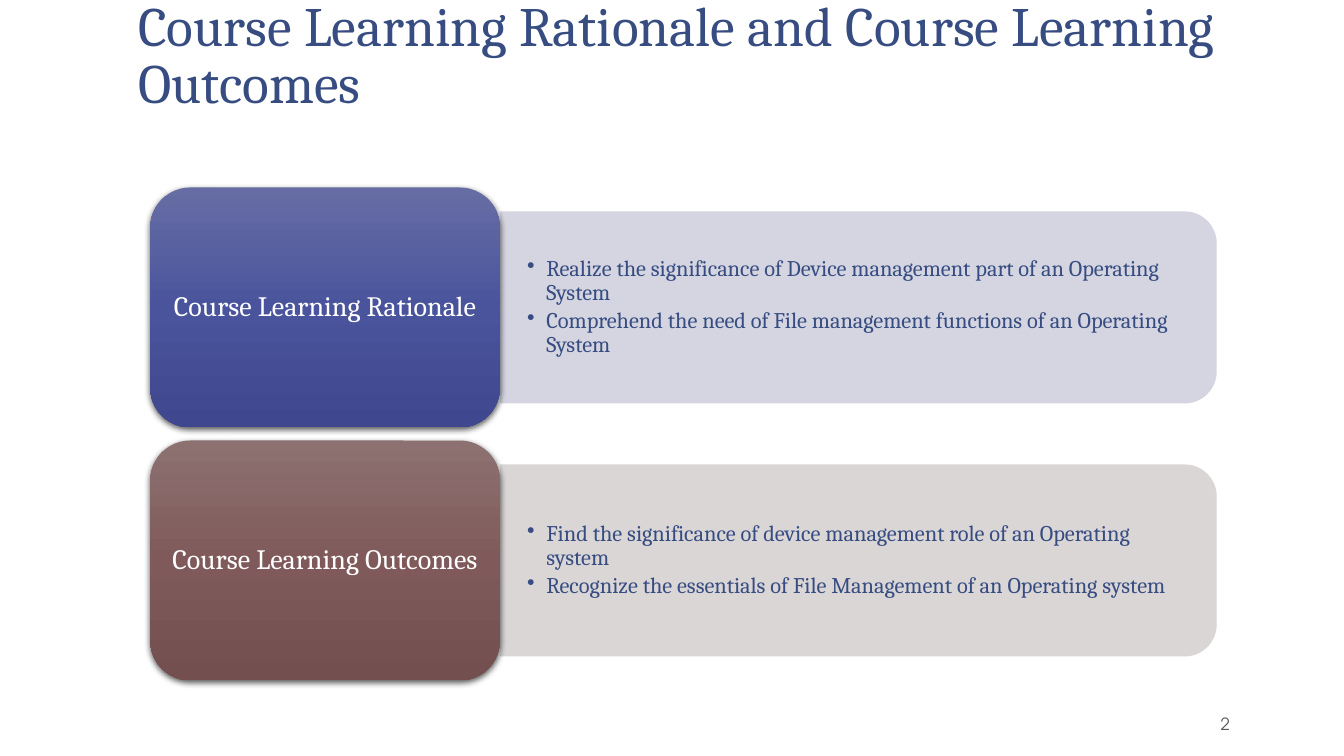
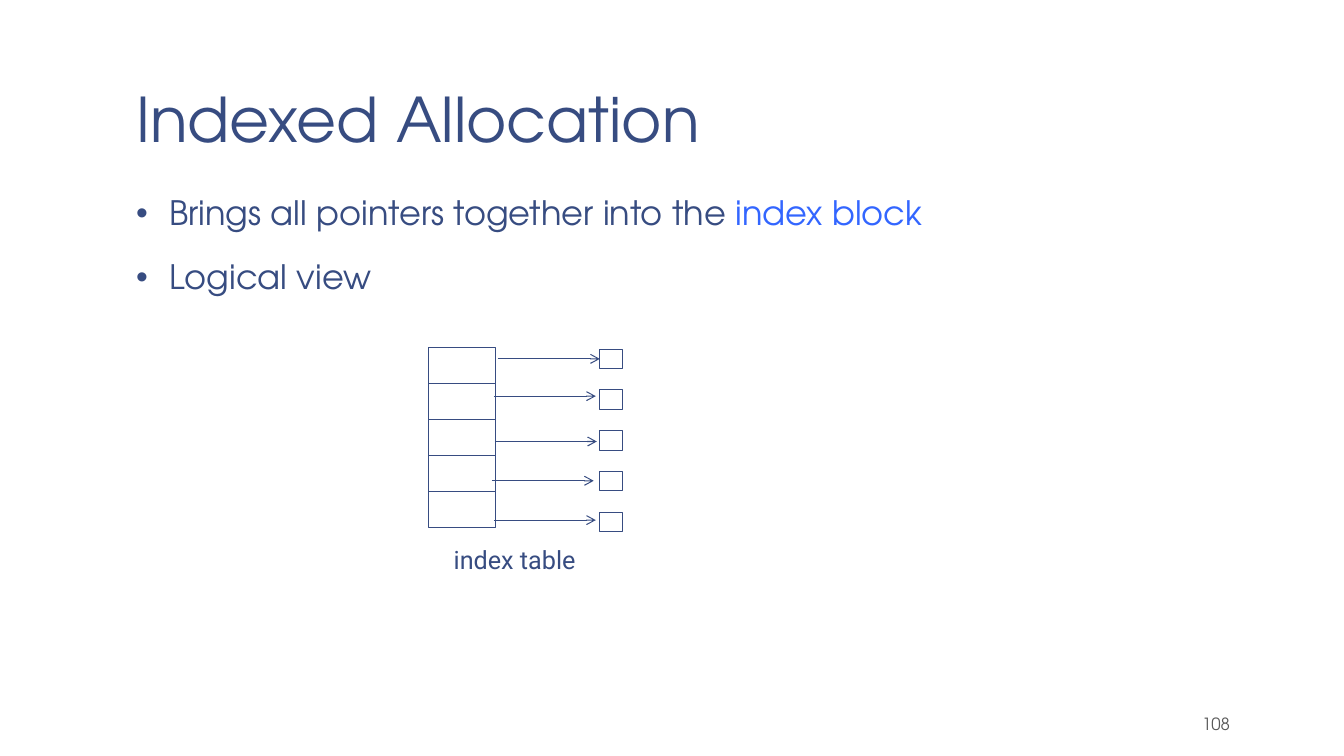
from copy import deepcopy
from dataclasses import dataclass

from lxml import etree
from pptx import Presentation
from pptx import util as u
from pptx.dml.color import RGBColor
from pptx.enum import shapes, text
from pptx.oxml.ns import qn

WIDTH, HEIGHT = u.Inches(13.333), u.Inches(7.5)


@dataclass(frozen=True)
class Theme:
    ink: str = "374C81"
    highlight: str = "3366FF"
    muted: str = "595959"
    paper: str = "FFFFFF"
    serif: str = "Cambria"
    sans: str = "TeX Gyre Adventor"
    label: str = "Roboto"
    long_title: float = 39.6
    title: float = 44
    body: float = 24
    card: float = 20
    caption: float = 18
    panel: float = 16
    number: float = 12


THEME = Theme()
PLACEHOLDER_INSETS = (0.13, 0.07)
NUMBER_FRAME = (83.4, 93.33, 9.1, 4.67)

CARD_COLUMN, CARD_ROW = 11.18, 24.8
CARD_WIDTH, CARD_HEIGHT, CARD_PITCH = 26.02, 31.73, 33.47
PANEL_WIDTH, PANEL_HEIGHT = 53.33, 25.4
CARDS = [
    ("Course Learning Rationale", ("666DA4", "4A549C", "3F488E"), "D0D1DD",
     ["Realize the significance of Device management part of an Operating System",
      "Comprehend the need of File management functions of an Operating System"]),
    ("Course Learning Outcomes", ("8D7171", "805A5A", "734F4F"), "D7D2D2",
     ["Find the significance of device management role of an Operating system",
      "Recognize the essentials of File Management of an Operating system"]),
]

INDEX_LENGTH = 5
CELL_WIDTH, CELL_HEIGHT = 4.99, 4.75
BLOCK_WIDTH, BLOCK_HEIGHT, BLOCK_PITCH = 1.68, 2.58, 5.4
ARROW_LENGTH = 7.58
ARROW_STARTS = [(37.05, 47.47), (36.75, 52.4), (36.83, 58.4),
                (36.6, 63.6), (36.75, 68.8)]


def across(share):
    return u.Emu(round(WIDTH * share / 100))


def down(share):
    return u.Emu(round(HEIGHT * share / 100))


def frame(left, top, width, height):
    """Turn hundredths of the slide into a left, top, width, height box."""
    return across(left), down(top), across(width), down(height)


def color(value):
    return RGBColor.from_string(value)


def add_child(parent, tag, **attributes):
    return etree.SubElement(parent, qn(tag), attributes)


def add_run(paragraph, words, size, font, ink=THEME.ink):
    run = paragraph.add_run()
    run.text = words
    run.font.size = u.Pt(size)
    run.font.name = font
    run.font.color.rgb = color(ink)


def set_text_frame(shape, insets, anchor, wrap=True):
    text_frame = shape.text_frame
    text_frame.auto_size = text.MSO_AUTO_SIZE.NONE
    text_frame.word_wrap = wrap
    text_frame.vertical_anchor = anchor
    text_frame.margin_left = text_frame.margin_right = u.Inches(insets[0])
    text_frame.margin_top = text_frame.margin_bottom = u.Inches(insets[1])
    return text_frame


def place(shape, box):
    shape.left, shape.top, shape.width, shape.height = frame(*box)


def add_list(text_frame, items, size, font, indent, **spacing):
    """Write bulleted items, each a list of (words, ink) runs."""
    for index, runs in enumerate(items):
        paragraph = text_frame.paragraphs[0] if index == 0 else text_frame.add_paragraph()
        for name, value in spacing.items():
            setattr(paragraph, name, value)
        properties = paragraph._p.get_or_add_pPr()
        properties.set("marL", str(u.Inches(indent)))
        properties.set("indent", str(-u.Inches(indent)))
        add_child(properties, "a:buChar", char="•")
        for words, ink in runs:
            add_run(paragraph, words, size, font, ink)


def add_label(slide, box, words, size, font, ink, align, anchor, wrap=True):
    shape = slide.shapes.add_textbox(*frame(*box))
    text_frame = set_text_frame(shape, PLACEHOLDER_INSETS, anchor, wrap)
    paragraph = text_frame.paragraphs[0]
    paragraph.alignment = align
    add_run(paragraph, words, size, font, ink)


def add_slide(presentation, layout, title, box, size, font, number):
    slide = presentation.slides.add_slide(presentation.slide_layouts[layout])
    place(slide.shapes.title, box)
    text_frame = set_text_frame(slide.shapes.title, PLACEHOLDER_INSETS,
                                text.MSO_ANCHOR.BOTTOM)
    paragraph = text_frame.paragraphs[0]
    paragraph.alignment = text.PP_ALIGN.LEFT
    paragraph.line_spacing = 0.85
    add_run(paragraph, title, size, font)
    add_label(slide, NUMBER_FRAME, number, THEME.number, THEME.sans, THEME.muted,
              text.PP_ALIGN.RIGHT, text.MSO_ANCHOR.BOTTOM)
    return slide


def fill_gradient(shape, colors):
    """Fill from top to bottom through evenly spaced colours."""
    shape.fill.gradient()
    shape.fill.gradient_angle = 270
    stops = shape._element.spPr.find(".//" + qn("a:gsLst"))
    while len(stops) < len(colors):
        stops.insert(1, deepcopy(stops[0]))
    for index, stop in enumerate(shape.fill.gradient_stops):
        stop.color.rgb = color(colors[index])
        stop.position = index / (len(colors) - 1)


def add_soft_shadow(shape):
    shape.shadow.inherit = False
    effects = shape._element.spPr.find(qn("a:effectLst"))
    shadow = add_child(effects, "a:outerShdw", blurRad=str(u.Pt(4.5)),
                       dist=str(u.Pt(1.5)), dir="5400000", rotWithShape="0")
    ink = add_child(shadow, "a:srgbClr", val="000000")
    add_child(ink, "a:alpha", val="63000")


def add_panel(slide, left, middle, tint, items):
    """Draw a bar rounded on its right side, with a bulleted list on it."""
    box = frame(left, middle - PANEL_HEIGHT / 2, PANEL_WIDTH, PANEL_HEIGHT)
    x, y, length, thickness = box
    shift = (length - thickness) // 2
    panel = slide.shapes.add_shape(shapes.MSO_SHAPE.ROUND_2_SAME_RECTANGLE,
                                   x + shift, y - shift, thickness, length)
    panel.rotation = 90
    panel.shadow.inherit = False
    panel.fill.solid()
    panel.fill.fore_color.rgb = color(tint)
    panel.line.fill.background()
    add_child(panel._element.spPr.find(".//" + qn("a:srgbClr")), "a:alpha", val="90000")
    text_frame = set_text_frame(slide.shapes.add_textbox(*box), (0.27, 0.14),
                                text.MSO_ANCHOR.MIDDLE)
    add_list(text_frame, [[(item, THEME.ink)] for item in items], THEME.panel,
             THEME.serif, 0.19, line_spacing=0.9, space_after=u.Pt(2.5))


def add_card(slide, top, heading, colors):
    card = slide.shapes.add_shape(shapes.MSO_SHAPE.ROUNDED_RECTANGLE,
                                  *frame(CARD_COLUMN, top, CARD_WIDTH, CARD_HEIGHT))
    fill_gradient(card, colors)
    card.line.fill.background()
    add_soft_shadow(card)
    text_frame = set_text_frame(card, (0.08, 0.04), text.MSO_ANCHOR.MIDDLE)
    paragraph = text_frame.paragraphs[0]
    paragraph.alignment = text.PP_ALIGN.CENTER
    paragraph.line_spacing = 0.9
    add_run(paragraph, heading, THEME.card, THEME.serif, THEME.paper)


def add_column(slide, left, top, width, height, pitch):
    """Stack outlined boxes, one for each entry of the index."""
    for row in range(INDEX_LENGTH):
        box = slide.shapes.add_shape(shapes.MSO_SHAPE.RECTANGLE,
                                     *frame(left, top + row * pitch, width, height))
        box.shadow.inherit = False
        box.fill.solid()
        box.fill.fore_color.rgb = color(THEME.paper)
        box.line.color.rgb = color(THEME.ink)
        box.line.width = u.Pt(0.75)


def add_arrow(slide, left, top):
    arrow = slide.shapes.add_connector(shapes.MSO_CONNECTOR.STRAIGHT, across(left),
                                       down(top), across(left + ARROW_LENGTH), down(top))
    arrow.line.color.rgb = color(THEME.ink)
    arrow.line.width = u.Pt(0.75)
    add_child(arrow.line._get_or_add_ln(), "a:tailEnd", type="arrow")
    add_child(arrow._element.spPr, "a:effectLst")


def build_outcomes(presentation):
    slide = add_slide(presentation, 5,
                      "Course Learning Rationale and Course Learning Outcomes",
                      (9.3, 0, 83.33, 16.13), THEME.long_title, THEME.serif, "2")
    for index, (heading, colors, tint, items) in enumerate(CARDS):
        top = CARD_ROW + index * CARD_PITCH
        add_panel(slide, CARD_COLUMN + CARD_WIDTH, top + CARD_HEIGHT / 2, tint, items)
        add_card(slide, top, heading, colors)


def build_indexed_allocation(presentation):
    slide = add_slide(presentation, 1, "Indexed Allocation",
                      (9.15, 1.07, 83.33, 20.4), THEME.title, THEME.sans, "108")
    body = slide.placeholders[1]
    place(body, (9.15, 24.8, 83.33, 65.2))
    text_frame = set_text_frame(body, PLACEHOLDER_INSETS, text.MSO_ANCHOR.TOP)
    items = [[("Brings all pointers together into the ", THEME.ink),
              ("index block", THEME.highlight)],
             [("Logical view", THEME.ink)]]
    add_list(text_frame, items, THEME.body, THEME.sans, 0.33,
             line_spacing=0.95, space_before=u.Pt(18.7))
    add_column(slide, 31.87, 46, CELL_WIDTH, CELL_HEIGHT, CELL_HEIGHT)
    add_column(slide, 44.63, 46.17, BLOCK_WIDTH, BLOCK_HEIGHT, BLOCK_PITCH)
    for left, top in ARROW_STARTS:
        add_arrow(slide, left, top)
    add_label(slide, (33, 71.33, 10.58, 5.33), "index table", THEME.caption, THEME.label,
              THEME.ink, text.PP_ALIGN.CENTER, text.MSO_ANCHOR.MIDDLE, wrap=False)


def main():
    presentation = Presentation()
    presentation.slide_width, presentation.slide_height = WIDTH, HEIGHT
    build_outcomes(presentation)
    build_indexed_allocation(presentation)
    presentation.save("out.pptx")


if __name__ == "__main__":
    main()
